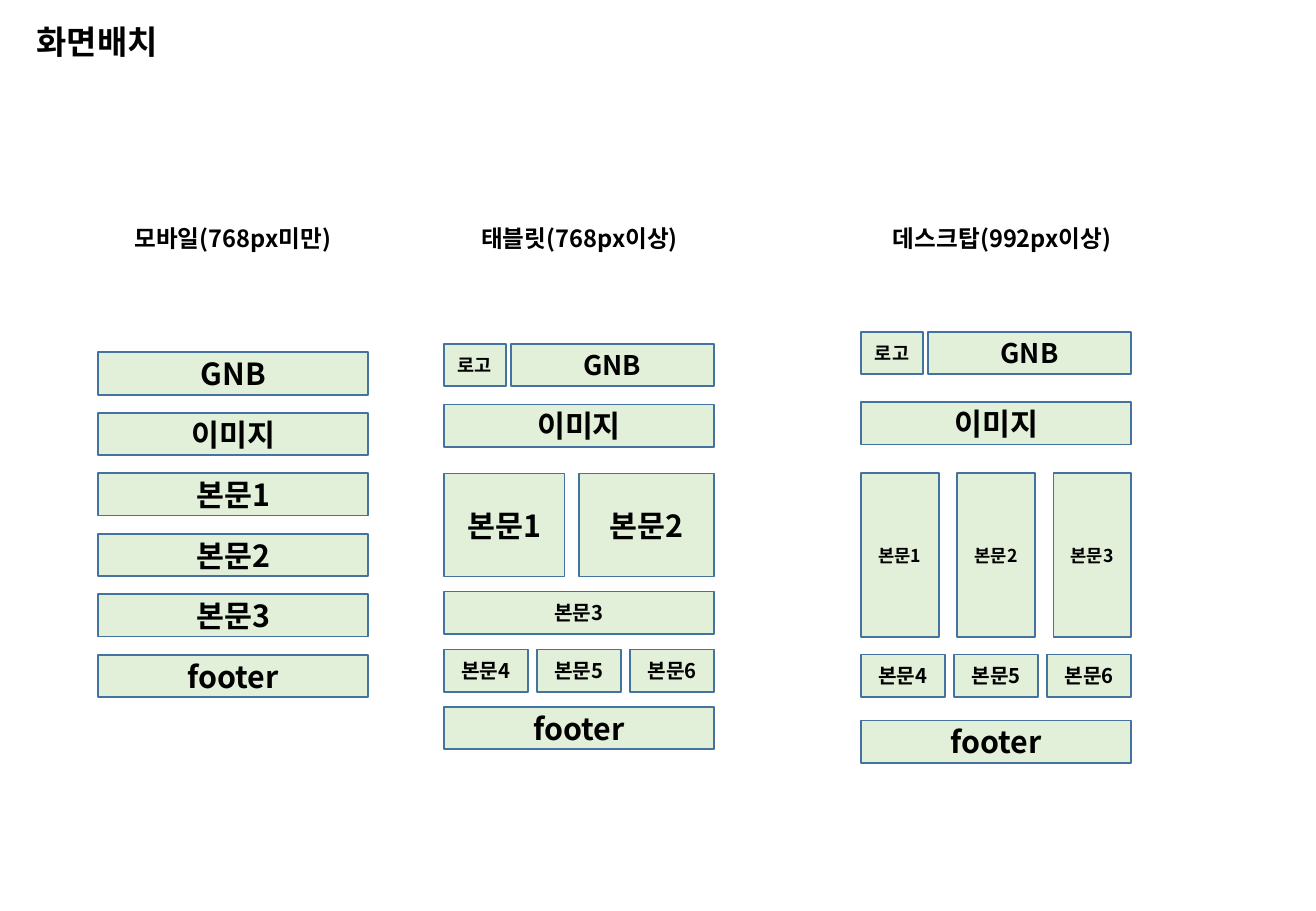
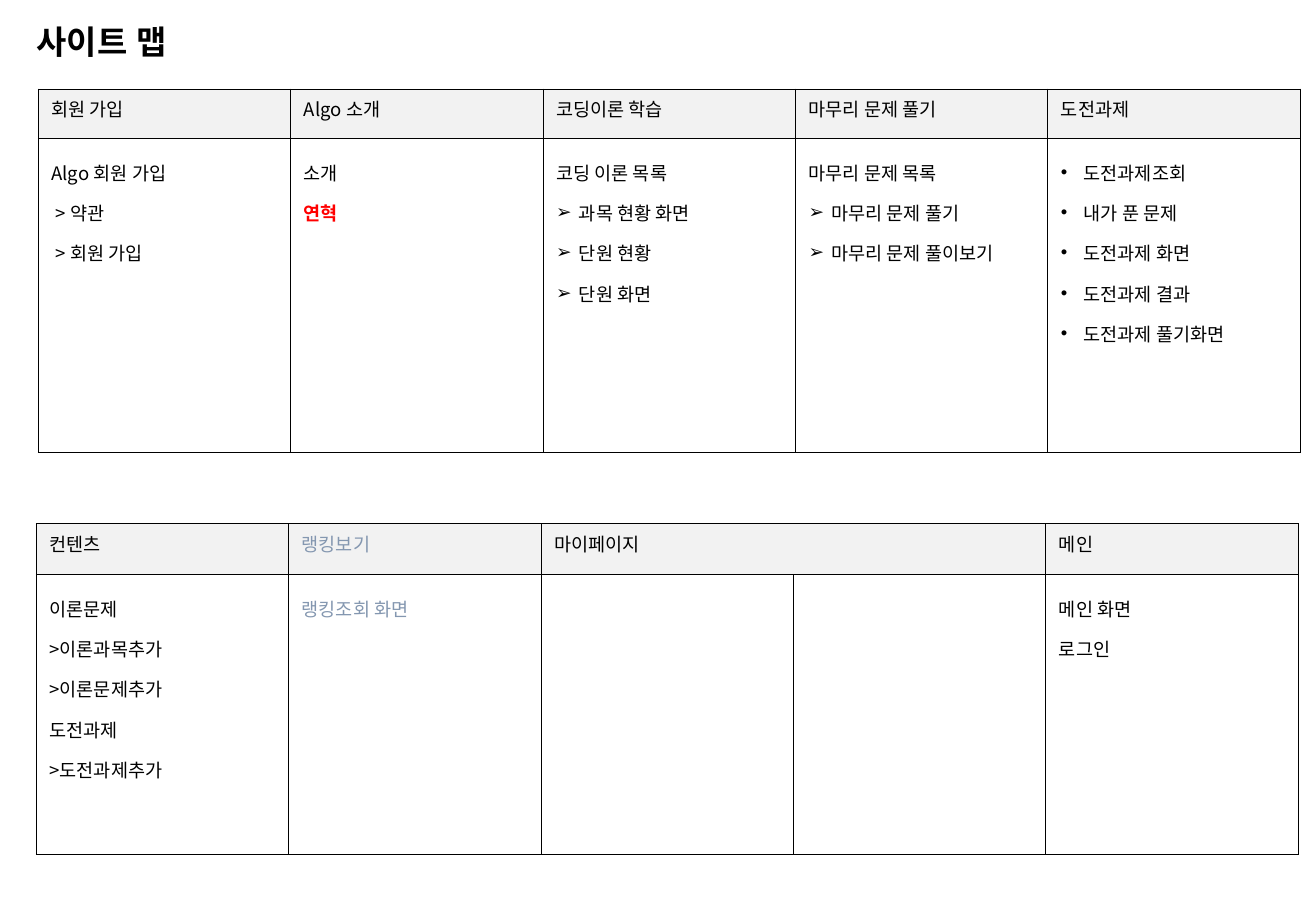
from dataclasses import dataclass

from lxml import etree
from pptx import Presentation
from pptx.dml.color import RGBColor
from pptx.enum import shapes, text
from pptx.oxml import ns
from pptx.util import Pt

BODY_FONT, TITLE_FONT = "Noto Sans CJK KR", "Arial"
BLACK, WHITE, RED, MUTED = "000000", "FFFFFF", "FF0000", "8497B0"
BLOCK_FILL, BLOCK_LINE, HEADER_FILL = "E2F0D9", "43739E", "F2F2F2"
SCREEN_WIDTH, BLOCK_HEIGHT = 160, 25.2
COLUMN_WIDTH, BULLET_INDENT = 149.6, 13.5


@dataclass(frozen=True)
class Block:
    label: str
    left: float
    top: float
    width: float = SCREEN_WIDTH
    height: float = BLOCK_HEIGHT
    size: float = 18


@dataclass(frozen=True)
class Line:
    label: str
    bullet: str = ""
    color: str = BLACK
    bold: bool = False


@dataclass(frozen=True)
class Column:
    header: Line
    lines: tuple[Line, ...] = ()
    span: int = 1


@dataclass(frozen=True)
class SiteTable:
    left: float
    top: float
    row_heights: tuple[float, float]
    columns: tuple[Column, ...]


def rgb(value: str) -> RGBColor:
    return RGBColor.from_string(value)


def style_paragraph(p, size: float, color: str = BLACK, bold: bool = False,
                    face: str = BODY_FONT) -> None:
    for r in p.runs:
        r.font.size = Pt(size)
        r.font.bold = bold
        r.font.name = face
        r.font.color.rgb = rgb(color)
        etree.SubElement(r.font._element, ns.qn("a:ea"), typeface=face)


def set_frame(tf, label: str, margin_x: float, margin_y: float) -> None:
    tf.text = label
    tf.word_wrap = True
    tf.auto_size = text.MSO_AUTO_SIZE.NONE
    tf.vertical_anchor = text.MSO_ANCHOR.MIDDLE
    tf.margin_left = tf.margin_right = Pt(margin_x)
    tf.margin_top = tf.margin_bottom = Pt(margin_y)


def add_slide(prs, title: str):
    s = prs.slides.add_slide(prs.slide_layouts[5])
    sp = s.shapes.title
    sp.left, sp.top, sp.width, sp.height = Pt(21.6), Pt(0), Pt(510.5), Pt(49)
    set_frame(sp.text_frame, title, 0, 0)
    p = sp.text_frame.paragraphs[0]
    p.alignment = text.PP_ALIGN.LEFT
    style_paragraph(p, 19.5, bold=True, face=TITLE_FONT)
    return s


def fill_centered(sp, label: str, size: float) -> None:
    set_frame(sp.text_frame, label, 7.2, 3.6)
    p = sp.text_frame.paragraphs[0]
    p.alignment = text.PP_ALIGN.CENTER
    style_paragraph(p, size, bold=True)


def add_caption(s, label: str, left: float, width: float) -> None:
    sp = s.shapes.add_textbox(Pt(left), Pt(126.7), Pt(width), Pt(28.8))
    fill_centered(sp, label, 14)


def add_block(s, block: Block) -> None:
    sp = s.shapes.add_shape(shapes.MSO_SHAPE.RECTANGLE, Pt(block.left), Pt(block.top),
                            Pt(block.width), Pt(block.height))
    sp.shadow.inherit = False
    sp.fill.solid()
    sp.fill.fore_color.rgb = rgb(BLOCK_FILL)
    sp.line.color.rgb = rgb(BLOCK_LINE)
    sp.line.width = Pt(1)
    fill_centered(sp, block.label, block.size)


def even_row(labels: tuple[str, ...], left: float, top: float, gap: float, size: float,
             height: float = BLOCK_HEIGHT) -> list[Block]:
    width = (SCREEN_WIDTH - gap * (len(labels) - 1)) / len(labels)
    return [Block(label, left + i * (width + gap), top, width, height, size)
            for i, label in enumerate(labels)]


def header_row(left: float, top: float) -> list[Block]:
    return [Block("로고", left, top, 36.7, size=11),
            Block("GNB", left + 39.6, top, SCREEN_WIDTH - 39.6, size=16)]


def mobile_blocks(left: float) -> list[Block]:
    labels = ("GNB", "이미지", "본문1", "본문2", "본문3", "footer")
    return [Block(label, left, 208.8 + 35.85 * i) for i, label in enumerate(labels)]


def tablet_blocks(left: float) -> list[Block]:
    return [
        *header_row(left, 203.8),
        Block("이미지", left, 239.8),
        Block("본문1", left, 280.6, 71.5, 61.2),
        Block("본문2", left + 80, 280.6, 80, 61.2),
        Block("본문3", left, 350.6, size=12),
        *even_row(("본문4", "본문5", "본문6"), left, 385, 5.5, 12),
        Block("footer", left, 419),
    ]


def desktop_blocks(left: float) -> list[Block]:
    return [
        *header_row(left, 196.6),
        Block("이미지", left, 238.3),
        *even_row(("본문1", "본문2", "본문3"), left, 280.4, 11, 10.5, 97.2),
        *even_row(("본문4", "본문5", "본문6"), left, 388, 5.5, 12),
        Block("footer", left, 427),
    ]


def add_borders(cell) -> None:
    tc_pr = cell._tc.get_or_add_tcPr()
    for i, side in enumerate("LRTB"):
        ln = etree.Element(ns.qn(f"a:ln{side}"), w=str(Pt(0.75)))
        fill = etree.SubElement(ln, ns.qn("a:solidFill"))
        etree.SubElement(fill, ns.qn("a:srgbClr"), val=BLACK)
        tc_pr.insert(i, ln)


def add_bullet(p, char: str) -> None:
    p_pr = p._p.get_or_add_pPr()
    p_pr.set("marL", str(Pt(BULLET_INDENT)))
    p_pr.set("indent", str(-Pt(BULLET_INDENT)))
    color = etree.SubElement(p_pr, ns.qn("a:buClr"))
    etree.SubElement(color, ns.qn("a:srgbClr"), val=BLACK)
    etree.SubElement(p_pr, ns.qn("a:buFont"), typeface="Arial")
    etree.SubElement(p_pr, ns.qn("a:buChar"), char=char)


def fill_cell(cell, lines: tuple[Line, ...], spacing: float) -> None:
    tf = cell.text_frame
    tf.text = "\n".join(line.label for line in lines)
    for p, line in zip(tf.paragraphs, lines):
        p.line_spacing = spacing
        style_paragraph(p, 11, line.color, line.bold)
        if line.bullet:
            add_bullet(p, line.bullet)


def add_site_table(s, spec_table: SiteTable) -> None:
    count = sum(column.span for column in spec_table.columns)
    frame = s.shapes.add_table(2, count, Pt(spec_table.left), Pt(spec_table.top),
                               Pt(COLUMN_WIDTH * count), Pt(sum(spec_table.row_heights)))
    table = frame.table
    table.first_row = table.horz_banding = False
    for column in table.columns:
        column.width = Pt(COLUMN_WIDTH)
    for row, height, color in zip(table.rows, spec_table.row_heights, (HEADER_FILL, WHITE)):
        row.height = Pt(height)
        for cell in row.cells:
            cell.margin_left = cell.margin_right = Pt(7.7)
            cell.margin_top = cell.margin_bottom = Pt(3.6)
            cell.fill.solid()
            cell.fill.fore_color.rgb = rgb(color)
            add_borders(cell)
    index = 0
    for column in spec_table.columns:
        header = table.cell(0, index)
        if column.span > 1:
            header.merge(table.cell(0, index + column.span - 1))
        fill_cell(header, (column.header,), 1.0)
        fill_cell(table.cell(1, index), column.lines, 1.5)
        index += column.span


def listed(*labels: str, bullet: str = "") -> tuple[Line, ...]:
    return tuple(Line(label, bullet) for label in labels)


SITE_TABLES = (
    SiteTable(22.8, 52.8, (29.5, 186), (
        Column(Line("회원 가입"), listed("Algo 회원 가입", " > 약관", " > 회원 가입")),
        Column(Line("Algo 소개"), (Line("소개"), Line("연혁", color=RED, bold=True))),
        Column(Line("코딩이론 학습"), listed("코딩 이론 목록")
               + listed("과목 현황 화면", "단원 현황", "단원 화면", bullet="➢")),
        Column(Line("마무리 문제 풀기"), listed("마무리 문제 목록")
               + listed("마무리 문제 풀기", "마무리 문제 풀이보기", bullet="➢")),
        Column(Line("도전과제"), listed("도전과제조회", "내가 푼 문제", "도전과제 화면",
                                    "도전과제 결과", "도전과제 풀기화면", bullet="•")),
    )),
    SiteTable(21.6, 310.4, (30.4, 165.6), (
        Column(Line("컨텐츠"), listed("이론문제", ">이론과목추가", ">이론문제추가",
                                   "도전과제", ">도전과제추가")),
        Column(Line("랭킹보기", color=MUTED), (Line("랭킹조회 화면", color=MUTED),)),
        Column(Line("마이페이지"), span=2),
        Column(Line("메인"), listed("메인 화면", "로그인")),
    )),
)


def main() -> None:
    prs = Presentation()
    prs.slide_width, prs.slide_height = Pt(780), Pt(540)

    s = add_slide(prs, "화면배치")
    add_caption(s, "모바일(768px미만)", 63.4, 149)
    add_caption(s, "태블릿(768px이상)", 275.8, 135.4)
    add_caption(s, "데스크탑(992px이상)", 517, 154)
    for block in mobile_blocks(58.2) + tablet_blocks(263.2) + desktop_blocks(510.4):
        add_block(s, block)

    s = add_slide(prs, "사이트 맵")
    for site_table in SITE_TABLES:
        add_site_table(s, site_table)

    prs.save("out.pptx")


if __name__ == "__main__":
    main()
